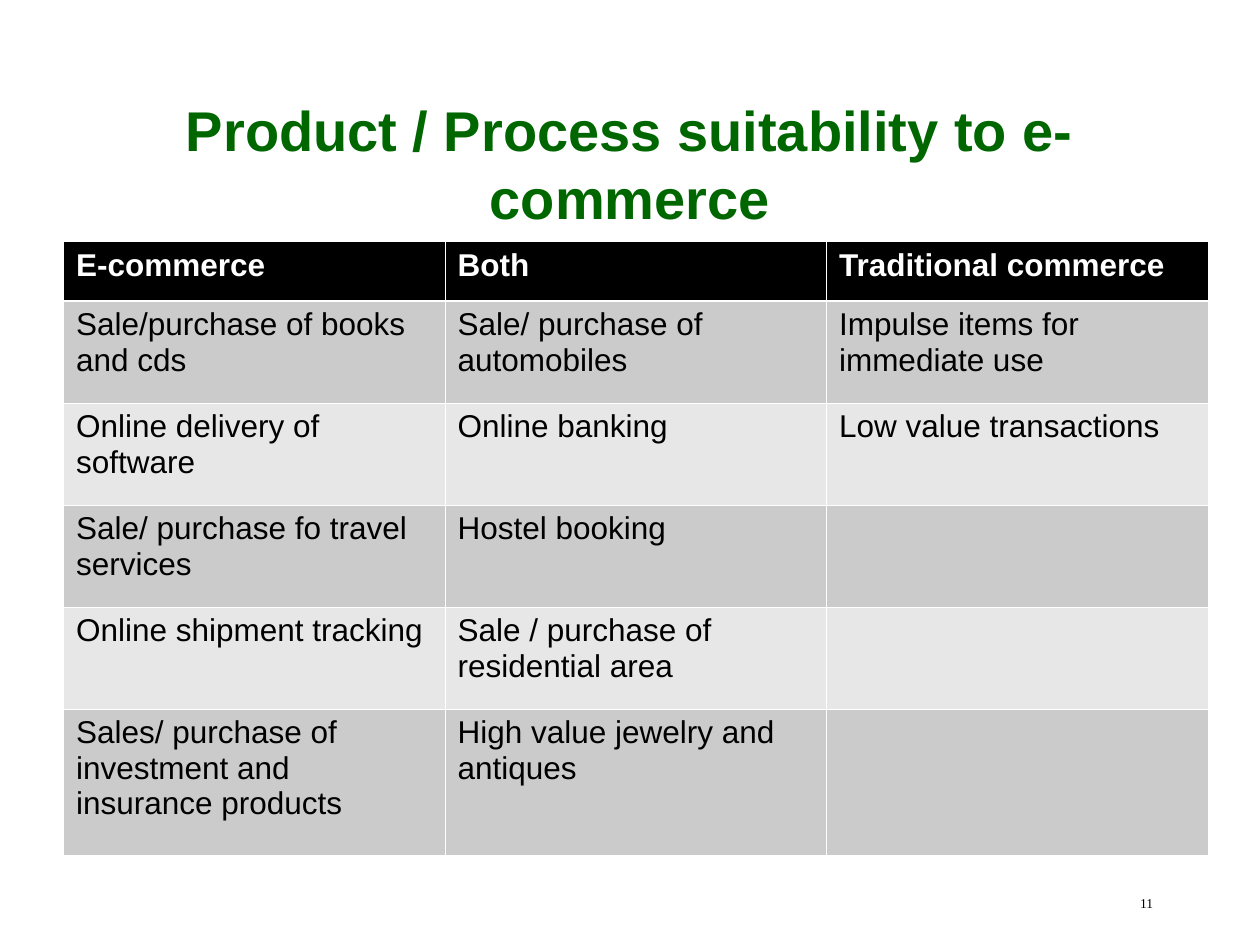
from dataclasses import dataclass

from lxml import etree
from pptx import Presentation
from pptx.dml.color import RGBColor
from pptx.enum.text import MSO_ANCHOR, PP_ALIGN
from pptx.oxml.ns import qn
from pptx.util import Pt

LEFT, CENTER, RIGHT = PP_ALIGN.LEFT, PP_ALIGN.CENTER, PP_ALIGN.RIGHT
TOP, MIDDLE = MSO_ANCHOR.TOP, MSO_ANCHOR.MIDDLE

WHITE, BLACK, GREEN = "FFFFFF", "000000", "006600"
BANDS = ("CBCBCB", "E7E7E7")
THIN, THICK = 0.45, 1.47

HEADS = ("E-commerce", "Both", "Traditional commerce")
ITEMS = (
    ("Sale/purchase of books and cds", "Sale/ purchase of automobiles",
     "Impulse items for immediate use"),
    ("Online delivery of software", "Online banking",
     "Low value transactions"),
    ("Sale/ purchase fo travel services", "Hostel booking", ""),
    ("Online shipment tracking", "Sale / purchase of residential area", ""),
    ("Sales/ purchase of investment and insurance products",
     "High value jewelry and antiques", ""),
)
COL = 218
ROWS = (33.8, 58.3, 58.3, 58.3, 58.3, 83.5)


@dataclass
class Label:
    text: str
    box: tuple
    font: dict
    color: str
    align: PP_ALIGN
    anchor: MSO_ANCHOR = TOP
    space: float = 1.0


LABELS = (
    Label("Product / Process suitability to e-commerce", (54, 48.2, 612, 90),
          {"name": "Arial", "size": Pt(32), "bold": True},
          GREEN, CENTER, MIDDLE),
    Label("11", (516.2, 509.8, 149.8, 18),
          {"name": "Times New Roman", "size": Pt(7.7), "bold": False},
          BLACK, RIGHT, space=0.8),
)


def rgb(code: str) -> RGBColor:
    return RGBColor.from_string(code)


def write(para, text: str, font: dict, color: str) -> None:
    run = para.add_run()
    run.text = text
    for key, value in font.items():
        setattr(run.font, key, value)
    run.font.color.rgb = rgb(color)


def draw_label(slide, label: Label) -> None:
    frame = slide.shapes.add_textbox(*map(Pt, label.box)).text_frame
    frame.word_wrap = True
    frame.vertical_anchor = label.anchor
    para = frame.paragraphs[0]
    para.alignment = label.align
    para.line_spacing = label.space
    write(para, label.text, label.font, label.color)


def edge(cell, side: str, width: float) -> None:
    """Draw one white border; call before the cell is filled."""
    props = cell._tc.get_or_add_tcPr()
    line = etree.SubElement(props, qn(f"a:ln{side}"), w=str(Pt(width)))
    fill = etree.SubElement(line, qn("a:solidFill"))
    etree.SubElement(fill, qn("a:srgbClr"), val=WHITE)


def draw_cell(cell, text: str, row: int) -> None:
    head = row == 0
    widths = {"L": THIN, "R": THIN, "T": THICK if row == 1 else THIN,
              "B": THICK if head else THIN}
    for side, width in widths.items():
        edge(cell, side, width)
    cell.fill.solid()
    cell.fill.fore_color.rgb = rgb(BLACK if head else BANDS[(row - 1) % 2])
    if text:
        font = {"name": "Arial", "size": Pt(18), "bold": head}
        para = cell.text_frame.paragraphs[0]
        para.alignment = LEFT
        write(para, text, font, WHITE if head else BLACK)


def draw_table(slide, left: float, top: float) -> None:
    size = (COL * len(HEADS), sum(ROWS))
    table = slide.shapes.add_table(
        len(ROWS), len(HEADS), *map(Pt, (left, top, *size))).table
    for col in table.columns:
        col.width = Pt(COL)
    for r, texts in enumerate((HEADS, *ITEMS)):
        table.rows[r].height = Pt(ROWS[r])
        for c, text in enumerate(texts):
            draw_cell(table.cell(r, c), text, r)


def main() -> None:
    deck = Presentation()
    deck.slide_width, deck.slide_height = Pt(720), Pt(540)
    slide = deck.slides.add_slide(deck.slide_layouts[6])
    title, number = LABELS
    draw_label(slide, title)
    draw_table(slide, 36.3, 138.2)
    draw_label(slide, number)
    deck.save("out.pptx")


if __name__ == "__main__":
    main()
